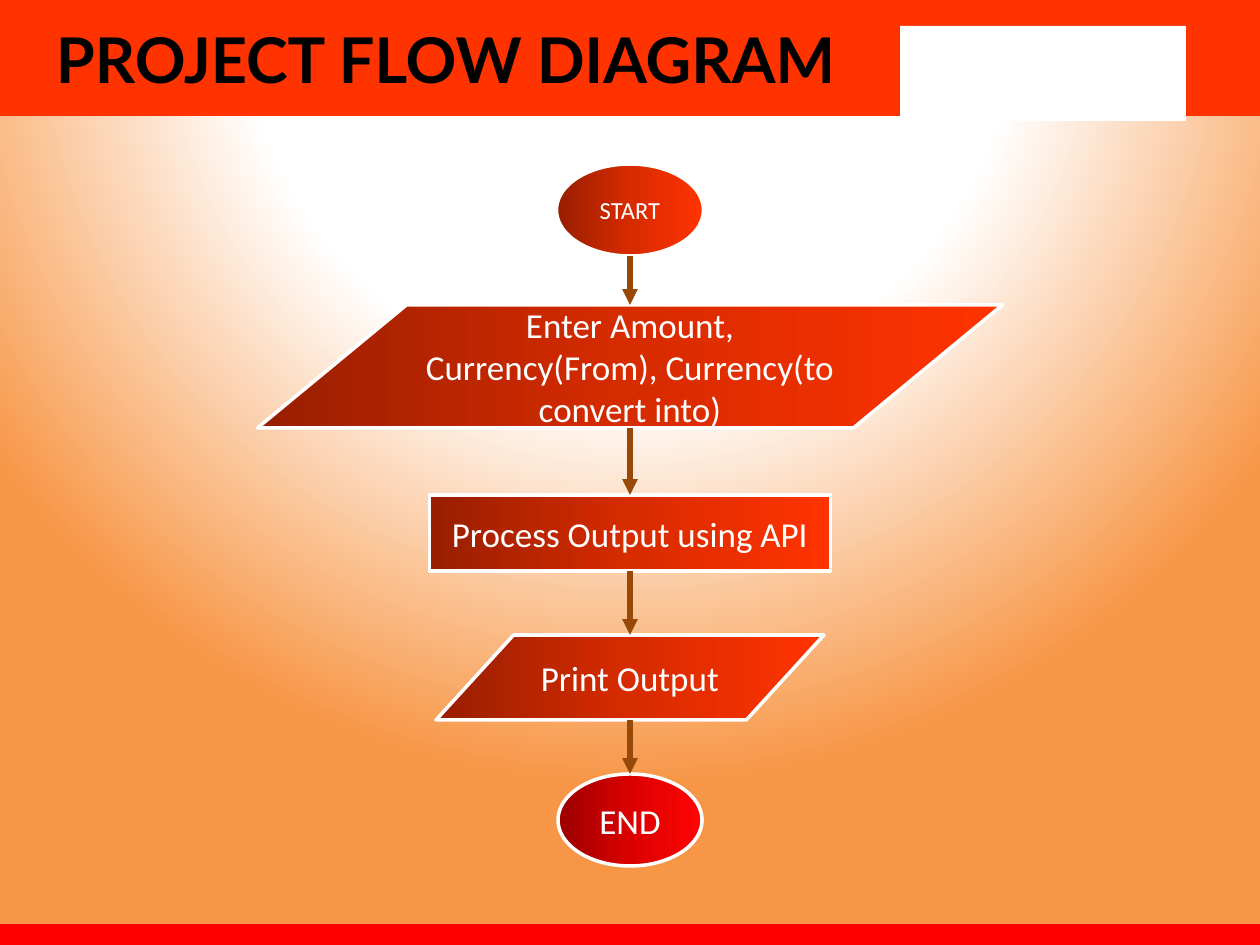
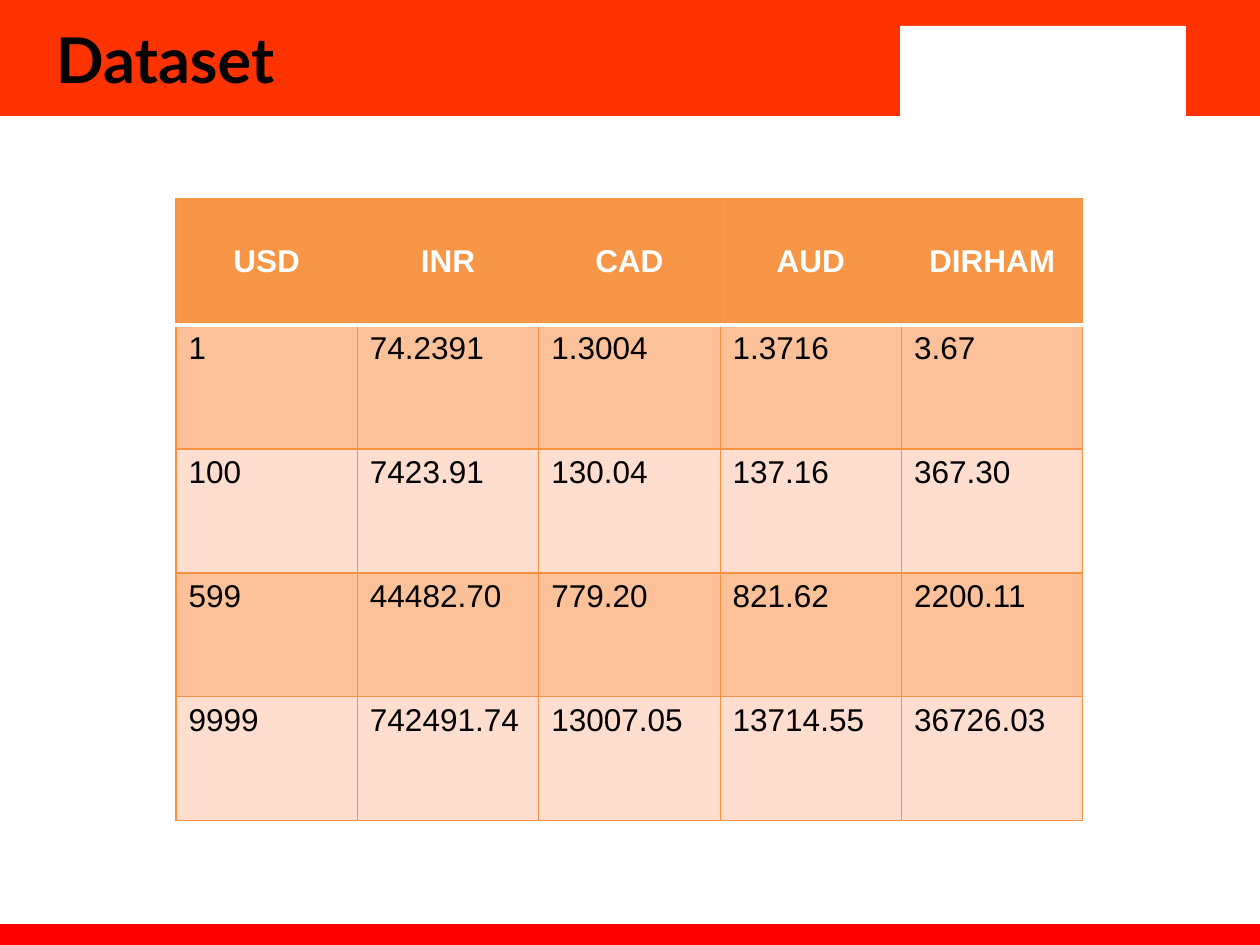
from lxml.etree import SubElement
from pptx import Presentation
from pptx.dml.color import RGBColor
from pptx.enum.shapes import MSO_CONNECTOR, MSO_SHAPE
from pptx.enum.text import MSO_ANCHOR, PP_ALIGN
from pptx.oxml.ns import qn
from pptx.util import Emu, Pt

WIDTH, HEIGHT = 1260, 945
BAND_HEIGHT = 116
COLORS = {
    "band": "FF3300", "footer": "FF0000", "white": "FFFFFF", "black": "000000",
    "arrow": "984807", "orange": "F79646", "border": "F69240",
    "row_dark": "FCC199", "row_light": "FFDDCF",
}
RED_ORANGE = [(0, "971E00"), (50, "D72B00"), (100, "FF3300")]
PURE_RED = [(0, "9A0000"), (50, "DB0000"), (100, "FF0505")]
GLOW = [(0, "FFFFFF"), (49, "FFFFFF"), (100, "F79646")]

# Flow steps: shape, text, size, top, width, height, gradient
STEPS = [
    (MSO_SHAPE.OVAL, "START", 14, 164, 147, 92, RED_ORANGE),
    (MSO_SHAPE.FLOWCHART_DATA,
     "Enter Amount, Currency(From), Currency(to convert into)",
     20, 305, 745, 123, RED_ORANGE),
    (MSO_SHAPE.RECTANGLE, "Process Output using API", 20, 495, 401, 76, RED_ORANGE),
    (MSO_SHAPE.FLOWCHART_DATA, "Print Output", 20, 635, 388, 85, RED_ORANGE),
    (MSO_SHAPE.OVAL, "END", 20, 774, 144, 92, PURE_RED),
]
RATES = [
    ["USD", "INR", "CAD", "AUD", "DIRHAM"],
    ["1", "74.2391", "1.3004", "1.3716", "3.67"],
    ["100", "7423.91", "130.04", "137.16", "367.30"],
    ["599", "44482.70", "779.20", "821.62", "2200.11"],
    ["9999", "742491.74", "13007.05", "13714.55", "36726.03"],
]


def px(length):
    return Emu(round(length * 914400 / 126))


def color(name):
    return RGBColor.from_string(COLORS[name])


def add_text(frame, text, size, font, color_name, bold=False, align=PP_ALIGN.LEFT):
    frame.word_wrap = True
    para = frame.paragraphs[0]
    para.alignment = align
    span = para.add_run()
    span.text = text
    span.font.size = Pt(size)
    span.font.name = font
    span.font.bold = bold
    span.font.color.rgb = color(color_name)


def set_gradient(owner, fill, stops, focus=None):
    """Left-to-right gradient, or a circular one around the focus box."""
    fill.gradient()
    grad = next(owner.iter(qn("a:gradFill")))
    for child in list(grad):
        grad.remove(child)
    stop_list = SubElement(grad, qn("a:gsLst"))
    for position, value in stops:
        stop = SubElement(stop_list, qn("a:gs"), pos=str(position * 1000))
        SubElement(stop, qn("a:srgbClr"), val=value)
    if focus:
        circle = SubElement(grad, qn("a:path"), path="circle")
        sides = {side: str(share * 1000) for side, share in zip("ltrb", focus)}
        SubElement(circle, qn("a:fillToRect"), **sides)
    else:
        SubElement(grad, qn("a:lin"), ang="0", scaled="1")


def add_block(page, kind, left, top, width, height, fill=None):
    box = page.shapes.add_shape(kind, px(left), px(top), px(width), px(height))
    box.shadow.inherit = False
    if fill:
        box.fill.solid()
        box.fill.fore_color.rgb = color(fill)
        box.line.fill.background()
    return box


def add_frame(page, title):
    # Title band, logo panel and footer strip
    for left, top, width, height, fill in [
        (0, 0, WIDTH, BAND_HEIGHT, "band"),
        (0, 924, WIDTH, HEIGHT - 924, "footer"),
        (847, 0, WIDTH - 847, BAND_HEIGHT, "band"),
        (900, 26, 286, 95, "white"),
    ]:
        add_block(page, MSO_SHAPE.RECTANGLE, left, top, width, height, fill)
    # Title
    box = page.shapes.add_textbox(0, 0, px(892), px(BAND_HEIGHT))
    frame = box.text_frame
    frame.vertical_anchor = MSO_ANCHOR.MIDDLE
    frame.margin_left = px(56)
    add_text(frame, title, 36, "Lato", "black", bold=True)


def add_step(page, center, step):
    kind, text, size, top, width, height, stops = step
    box = add_block(page, kind, center - width / 2, top, width, height)
    set_gradient(box.element, box.fill, stops)
    box.line.color.rgb = color("white")
    box.line.width = Pt(2)
    box.text_frame.vertical_anchor = MSO_ANCHOR.MIDDLE
    add_text(box.text_frame, text, size, "Calibri", "white", align=PP_ALIGN.CENTER)


def add_arrow(page, x, start, end):
    arrow = page.shapes.add_connector(
        MSO_CONNECTOR.STRAIGHT, px(x), px(start), px(x), px(end))
    arrow.line.color.rgb = color("arrow")
    arrow.line.width = Pt(3)
    SubElement(arrow.line._get_or_add_ln(), qn("a:tailEnd"), type="triangle")
    SubElement(arrow.element.spPr, qn("a:effectLst"))


def add_flow(page, center, steps):
    for step in steps:
        add_step(page, center, step)
    for upper, lower in zip(steps, steps[1:]):
        add_arrow(page, center, upper[3] + upper[5], lower[3])


def set_border(cell, side, color_name, width):
    line = SubElement(cell._tc.get_or_add_tcPr(), qn(f"a:ln{side}"), w=str(Pt(width)))
    fill = SubElement(line, qn("a:solidFill"))
    SubElement(fill, qn("a:srgbClr"), val=COLORS[color_name])


def fill_cell(cell, row, text):
    # A white rule parts the header from the body
    rule_side = {0: "B", 1: "T"}.get(row)
    for side in "LRTB":
        if side == rule_side:
            set_border(cell, side, "white", 2)
        else:
            set_border(cell, side, "border", 0.75)
    header = row == 0
    cell.fill.solid()
    cell.fill.fore_color.rgb = color(
        "orange" if header else "row_dark" if row % 2 else "row_light")
    cell.vertical_anchor = MSO_ANCHOR.MIDDLE if header else MSO_ANCHOR.TOP
    add_text(cell.text_frame, text, 18, "Arial", "white" if header else "black",
             bold=header, align=PP_ALIGN.CENTER if header else PP_ALIGN.LEFT)


def add_rates(page, left, top, width, header_height, row_height):
    height = header_height + row_height * (len(RATES) - 1)
    table = page.shapes.add_table(
        len(RATES), len(RATES[0]), px(left), px(top), px(width), px(height)).table
    for column in table.columns:
        column.width = px(width / len(RATES[0]))
    for row, values in enumerate(RATES):
        table.rows[row].height = px(row_height if row else header_height)
        for column, text in enumerate(values):
            fill_cell(table.cell(row, column), row, text)


def build_flow_page(page):
    set_gradient(page.element, page.background.fill, GLOW, focus=(50, -80, 50, 180))
    add_frame(page, "PROJECT FLOW DIAGRAM")
    add_flow(page, WIDTH / 2, STEPS)


def build_dataset_page(page):
    page.background.fill.solid()
    page.background.fill.fore_color.rgb = color("white")
    add_frame(page, "Dataset")
    add_rates(page, 176, 199, 907, 126, 124)


def main():
    deck = Presentation()
    deck.slide_width, deck.slide_height = px(WIDTH), px(HEIGHT)
    for build in (build_flow_page, build_dataset_page):
        build(deck.slides.add_slide(deck.slide_layouts[6]))
    deck.save("out.pptx")


if __name__ == "__main__":
    main()
